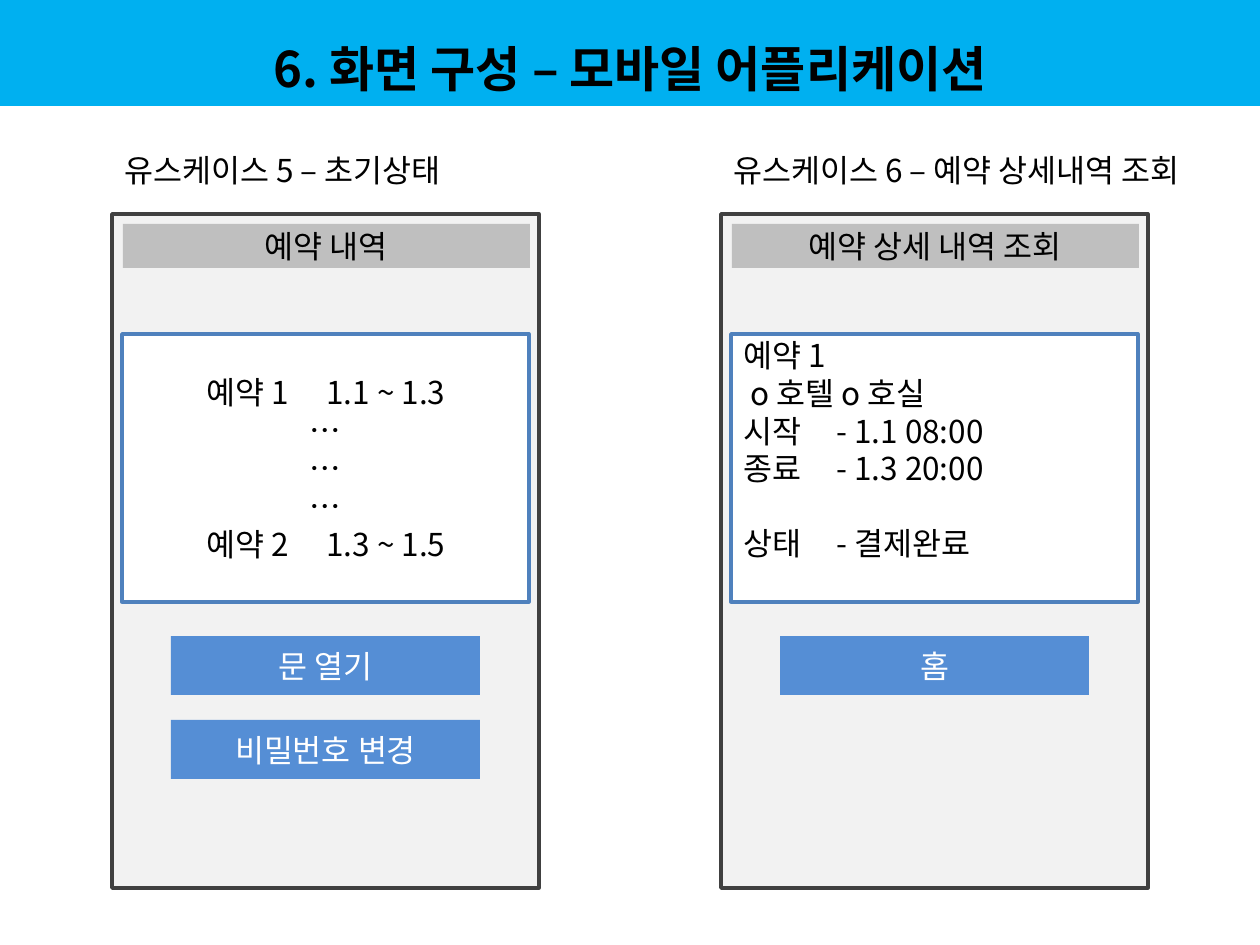
from pptx import Presentation
from pptx.dml.color import RGBColor
from pptx.enum.shapes import MSO_SHAPE as SHAPE
from pptx.enum.text import MSO_ANCHOR as ANCHOR, PP_ALIGN as ALIGN
from pptx.util import Pt
from lxml import etree

PX = 914400 // 126
NS = "{http://schemas.openxmlformats.org/drawingml/2006/main}"
FONT = "Noto Sans CJK KR"


def write(sp, text, size=18, color="000000", bold=False, align=ALIGN.CENTER,
          anchor=ANCHOR.MIDDLE, spacing=None, tabs=()):
    tf = sp.text_frame
    tf.word_wrap = True
    tf.vertical_anchor = anchor
    for i, line in enumerate(text.split("\n")):
        p = tf.paragraphs[0] if i == 0 else tf.add_paragraph()
        p.alignment = ALIGN.LEFT if "\t" in line else align
        if spacing:
            p.line_spacing = spacing
        if "\t" in line:
            stops = etree.SubElement(p._p.get_or_add_pPr(), NS + "tabLst")
            for x in tabs:
                etree.SubElement(stops, NS + "tab", pos=str(x * PX), algn="l")
        r = p.add_run()
        r.text = line
        r.font.size = Pt(size)
        r.font.bold = bold
        r.font.color.rgb = RGBColor.from_string(color)
        r.font.name = FONT
        etree.SubElement(r._r.get_or_add_rPr(), NS + "ea", typeface=FONT)
    return tf


def box(x, y, w, h, fill, line=None):
    sp = s.shapes.add_shape(SHAPE.RECTANGLE, x * PX, y * PX, w * PX, h * PX)
    sp.shadow.inherit = False
    sp.fill.solid()
    sp.fill.fore_color.rgb = RGBColor.from_string(fill)
    if line:
        sp.line.color.rgb = RGBColor.from_string(line)
        sp.line.width = Pt(2)
    else:
        sp.line.fill.background()
    return sp


prs = Presentation()
prs.slide_width, prs.slide_height = 1260 * PX, 945 * PX
s = prs.slides.add_slide(prs.slide_layouts[5])

title = s.shapes.title
title.left, title.top, title.width, title.height = 0, 0, 1260 * PX, 106 * PX
title.fill.solid()
title.fill.fore_color.rgb = RGBColor.from_string("00B0F0")
write(title, "6. 화면 구성 – 모바일 어플리케이션", size=28, bold=True, spacing=1.5)

screens = [
    (112, "유스케이스 5 – 초기상태", "예약 내역", ["문 열기", "비밀번호 변경"]),
    (721, "유스케이스 6 – 예약 상세내역 조회", "예약 상세 내역 조회", ["홈"]),
]
panels = []
for x, caption, header, buttons in screens:
    box(x, 214, 427, 674, "F2F2F2", "404040")
    write(box(x + 11, 224, 407, 44, "BFBFBF"), header)
    panels.append(box(x + 10, 334, 407, 268, "FFFFFF", "4F81BD"))
    for i, label in enumerate(buttons):
        write(box(x + 59, 636 + 84 * i, 309, 59, "558ED5"), label, color="FFFFFF")
    tb = s.shapes.add_textbox(x * PX, 145 * PX, 630 * PX, 50 * PX)
    write(tb, caption, align=ALIGN.LEFT, anchor=ANCHOR.TOP)

bookings, details = panels
write(bookings, "\t예약 1\t1.1 ~ 1.3\n…\n…\n…\n\t예약 2\t1.3 ~ 1.5", tabs=(72, 192))
tf = write(details, "예약 1\n\to 호텔 o 호실\n시작\t- 1.1 08:00\n종료\t- 1.3 20:00\n상태\t- 결제완료",
           align=ALIGN.LEFT, anchor=ANCHOR.TOP, tabs=(7, 93))
tf.margin_top = 2 * PX
tf.paragraphs[-1].space_before = Pt(21)

prs.save("out.pptx")
